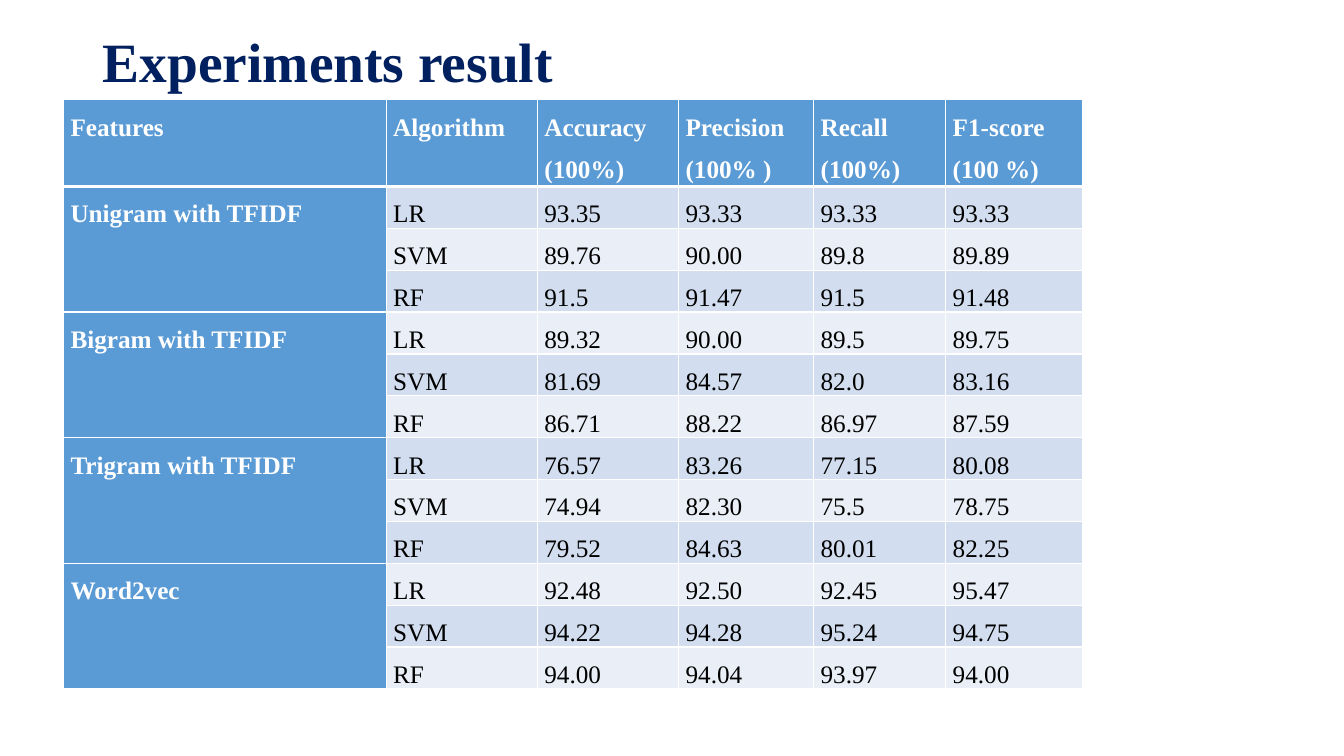
from lxml import etree
from pptx import Presentation
from pptx.dml.color import RGBColor
from pptx.enum import text
from pptx.oxml import ns
from pptx.util import Inches, Pt

# Content
HEADING = "Experiments result"
HEADERS = ["Features", "Algorithm", "Accuracy (100%)", "Precision (100% )",
           "Recall (100%)", "F1-score (100 %)"]
RESULTS = {
    "Unigram with TFIDF": [
        ("LR", "93.35", "93.33", "93.33", "93.33"),
        ("SVM", "89.76", "90.00", "89.8", "89.89"),
        ("RF", "91.5", "91.47", "91.5", "91.48")],
    "Bigram with TFIDF": [
        ("LR", "89.32", "90.00", "89.5", "89.75"),
        ("SVM", "81.69", "84.57", "82.0", "83.16"),
        ("RF", "86.71", "88.22", "86.97", "87.59")],
    "Trigram with TFIDF": [
        ("LR", "76.57", "83.26", "77.15", "80.08"),
        ("SVM", "74.94", "82.30", "75.5", "78.75"),
        ("RF", "79.52", "84.63", "80.01", "82.25")],
    "Word2vec": [
        ("LR", "92.48", "92.50", "92.45", "95.47"),
        ("SVM", "94.22", "94.28", "95.24", "94.75"),
        ("RF", "94.00", "94.04", "93.97", "94.00")],
}
COLORS = {"heading": "002060", "header": "5B9BD5", "odd": "D2DEEF",
          "even": "EAEFF7", "light": "FFFFFF", "dark": "000000"}
FONT = "Times New Roman"
COLUMN_WIDTHS = [3.2, 1.5, 1.4, 1.34, 1.31, 1.36]
HEADER_HEIGHT, ROW_HEIGHT = 0.86, 0.415


def write(frame, words, size=18, color="dark", bold=False,
          align=text.PP_ALIGN.JUSTIFY, spacing=1.5, after=8):
    paragraph = frame.paragraphs[0]
    paragraph.alignment = align
    paragraph.line_spacing = spacing
    paragraph.space_after = Pt(after)
    run = paragraph.add_run()
    run.text = words
    run.font.name = FONT
    run.font.size = Pt(size)
    run.font.bold = bold
    run.font.color.rgb = RGBColor.from_string(COLORS[color])


def add_borders(cell, top=1, bottom=1):
    properties = cell._tc.get_or_add_tcPr()
    for side, points in (("L", 1), ("R", 1), ("T", top), ("B", bottom)):
        line = etree.SubElement(properties, ns.qn(f"a:ln{side}"), w=str(Pt(points)))
        solid = etree.SubElement(line, ns.qn("a:solidFill"))
        etree.SubElement(solid, ns.qn("a:srgbClr"), val=COLORS["light"])


def format_cell(cell, fill, top=1, bottom=1):
    add_borders(cell, top, bottom)
    cell.fill.solid()
    cell.fill.fore_color.rgb = RGBColor.from_string(COLORS[fill])
    cell.margin_left = cell.margin_right = Inches(0.07)
    cell.margin_top = cell.margin_bottom = 0


def main():
    deck = Presentation()
    deck.slide_width, deck.slide_height = Inches(13.33), Inches(7.5)
    slide = deck.slides.add_slide(deck.slide_layouts[5])

    # Title
    heading = slide.shapes.title
    heading.left, heading.top = Inches(0.92), Inches(0.4)
    heading.width, heading.height = Inches(11.5), Inches(0.49)
    heading.text_frame.vertical_anchor = text.MSO_ANCHOR.MIDDLE
    heading.text_frame.auto_size = text.MSO_AUTO_SIZE.NONE
    write(heading.text_frame, HEADING, size=39.6, color="heading", bold=True,
          align=text.PP_ALIGN.LEFT, spacing=0.9, after=0)

    # Table grid
    row_count = sum(len(scores) for scores in RESULTS.values())
    results = slide.shapes.add_table(
        row_count + 1, len(HEADERS), Inches(0.63), Inches(0.99),
        Inches(sum(COLUMN_WIDTHS)),
        Inches(HEADER_HEIGHT + row_count * ROW_HEIGHT)).table
    for column, width in zip(results.columns, COLUMN_WIDTHS):
        column.width = Inches(width)
    for index, row in enumerate(results.rows):
        row.height = Inches(ROW_HEIGHT if index else HEADER_HEIGHT)

    # Header row
    for column, label in enumerate(HEADERS):
        cell = results.cell(0, column)
        format_cell(cell, "header", bottom=3)
        write(cell.text_frame, label, color="light", bold=True)

    # One merged feature cell beside each group of scores
    row = 1
    for feature, scores in RESULTS.items():
        first = results.cell(row, 0)
        first.merge(results.cell(row + len(scores) - 1, 0))
        write(first.text_frame, feature, color="light", bold=True)
        for values in scores:
            top = 3 if row == 1 else 1
            format_cell(results.cell(row, 0), "header", top=top)
            for column, value in enumerate(values, 1):
                cell = results.cell(row, column)
                format_cell(cell, "odd" if row % 2 else "even", top=top)
                write(cell.text_frame, value)
            row += 1

    deck.save("out.pptx")


if __name__ == "__main__":
    main()
